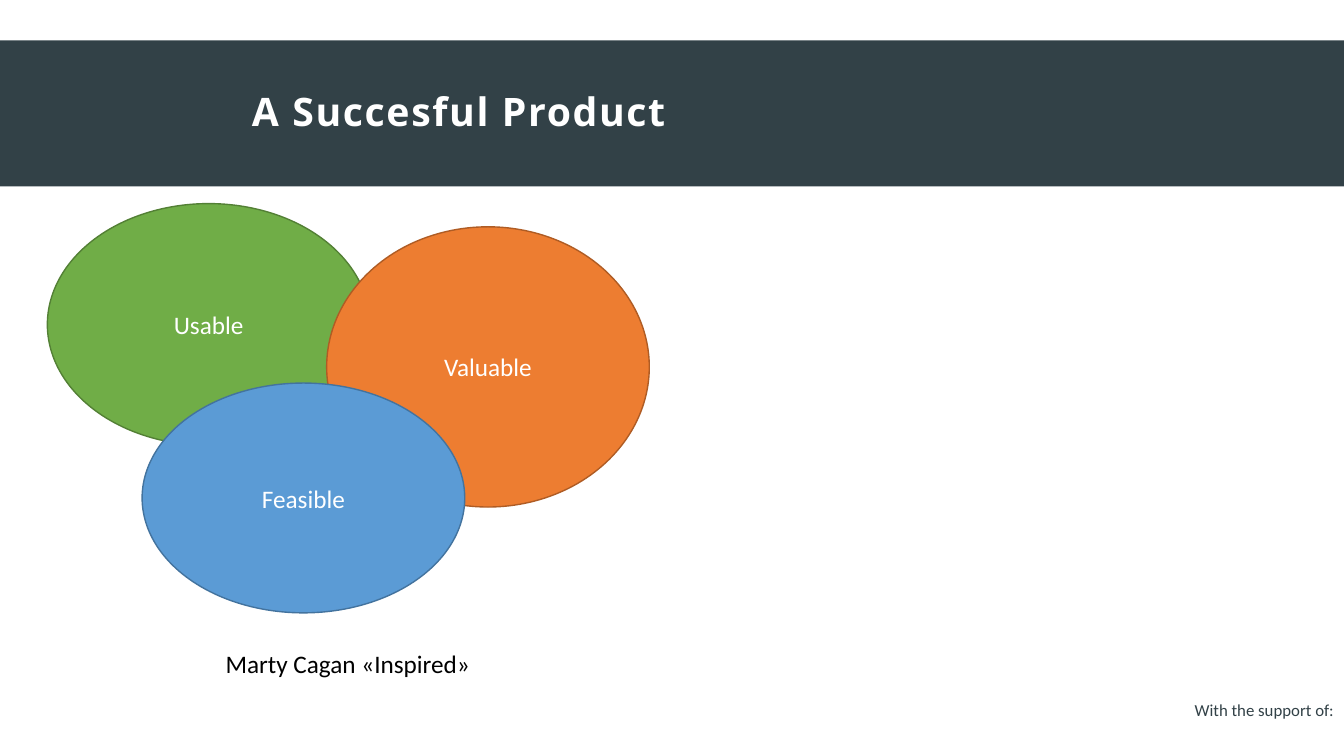
from dataclasses import dataclass

from pptx import Presentation
from pptx.dml.color import RGBColor
from pptx.enum.shapes import MSO_SHAPE as Preset
from pptx.enum.text import MSO_ANCHOR as Anchor, PP_ALIGN as Align
from pptx.util import Pt

EMU_PER_PX = 9144  # 100 px to the inch
SLATE, WHITE, BLACK = "324147", "FFFFFF", "000000"


@dataclass(frozen=True)
class Area:
    left: int
    top: int
    width: int
    height: int

    def emu(self) -> tuple[int, ...]:
        return tuple(px * EMU_PER_PX
                     for px in (self.left, self.top, self.width, self.height))


@dataclass(frozen=True)
class Quality:
    label: str
    area: Area
    fill: str
    outline: str


QUALITIES = [
    Quality("Usable", Area(47, 202, 320, 240), "70AD47", "538035"),
    Quality("Valuable", Area(324, 225, 320, 278), "ED7D31", "AF5C24"),
    Quality("Feasible", Area(141, 380, 320, 228), "5B9BD5", "43739E"),
]


def color(value: str) -> RGBColor:
    return RGBColor.from_string(value)


def write(shape, text: str, size: int, text_color: str, font: str = "Calibri",
          align=Align.CENTER, anchor=Anchor.MIDDLE, wrap: bool = True):
    """Put one line of text in a shape and return its run."""
    frame = shape.text_frame
    frame.text = text
    frame.word_wrap = wrap
    frame.vertical_anchor = anchor
    para = frame.paragraphs[0]
    para.alignment = align
    span = para.runs[0]
    span.font.name = font
    span.font.size = Pt(size)
    span.font.color.rgb = color(text_color)
    return span


def add_filled(page, preset, area: Area, fill: str, outline: str | None = None):
    shape = page.shapes.add_shape(preset, *area.emu())
    shape.shadow.inherit = False
    shape.fill.solid()
    shape.fill.fore_color.rgb = color(fill)
    if outline:
        shape.line.color.rgb = color(outline)
        shape.line.width = Pt(1)
    else:
        shape.line.fill.background()
    return shape


def add_quality(page, quality: Quality) -> None:
    ellipse = add_filled(page, Preset.OVAL, quality.area, quality.fill, quality.outline)
    write(ellipse, quality.label, 18, WHITE)


def add_title(page, text: str, area: Area) -> None:
    box = page.shapes.add_textbox(*area.emu())
    span = write(box, text, 28, WHITE, font="Open Sans", align=Align.LEFT)
    span.font.bold = True
    span._r.get_or_add_rPr().set("spc", "120")  # letter spacing of 1.2 pt
    box.text_frame.paragraphs[0].line_spacing = 0.9


def main() -> None:
    deck = Presentation()
    deck.slide_width, deck.slide_height = 1333 * EMU_PER_PX, 750 * EMU_PER_PX
    page = deck.slides.add_slide(deck.slide_layouts[6])

    # Header band and title
    add_filled(page, Preset.RECTANGLE, Area(0, 40, 1333, 145), SLATE)
    add_title(page, "A Succesful Product", Area(240, 40, 1002, 145))

    # Overlapping product qualities
    for quality in QUALITIES:
        add_quality(page, quality)

    # Book reference
    reference = page.shapes.add_textbox(*Area(47, 638, 596, 40).emu())
    write(reference, "Marty Cagan «Inspired»", 18, BLACK, anchor=Anchor.TOP)

    # Footer
    support = page.shapes.add_textbox(*Area(1174, 689, 160, 30).emu())
    write(support, "With the support of:", 12, SLATE, anchor=Anchor.TOP, wrap=False)

    deck.save("out.pptx")


if __name__ == "__main__":
    main()
